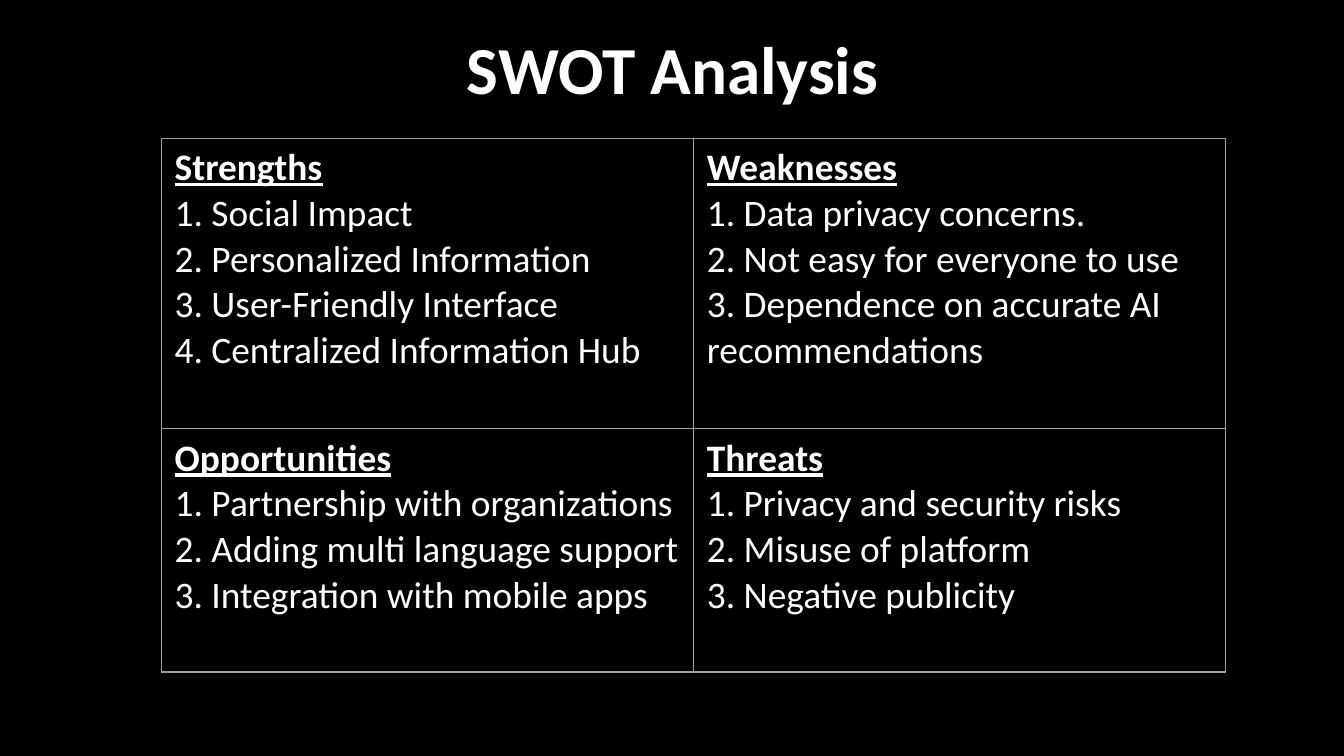
from lxml import etree
from pptx import Presentation
from pptx.dml.color import RGBColor
from pptx.enum.text import MSO_ANCHOR, MSO_AUTO_SIZE, PP_ALIGN
from pptx.oxml.ns import qn
from pptx.util import Inches, Pt

TITLE = "SWOT Analysis"
QUADRANTS = [
    [
        ("Strengths", ["Social Impact", "Personalized Information",
                       "User-Friendly Interface", "Centralized Information Hub"]),
        ("Weaknesses", ["Data privacy concerns.", "Not easy for everyone to use",
                        "Dependence on accurate AI recommendations"]),
    ],
    [
        ("Opportunities", ["Partnership with organizations",
                           "Adding multi language support",
                           "Integration with mobile apps"]),
        ("Threats", ["Privacy and security risks", "Misuse of platform",
                     "Negative publicity"]),
    ],
]

BLACK = RGBColor(0x00, 0x00, 0x00)
WHITE = RGBColor(0xFF, 0xFF, 0xFF)
GRAY = RGBColor(0x9E, 0x9E, 0x9E)
FONT = "Calibri"
CENTER = PP_ALIGN.CENTER
TOP = MSO_ANCHOR.TOP
NO_FIT = MSO_AUTO_SIZE.NONE

SLIDE_WIDTH = Inches(10)
SLIDE_HEIGHT = SLIDE_WIDTH * 9 // 16
COL_WIDTH = 3.96
ROW_HEIGHTS = [2.16, 1.81]


def add_run(p, text, size, bold=False, underline=False):
    r = p.add_run()
    r.text = text
    r.font.name = FONT
    r.font.size = Pt(size)
    r.font.bold = bold
    r.font.underline = underline
    r.font.color.rgb = WHITE


def set_borders(cell):
    tc_pr = cell._tc.get_or_add_tcPr()
    for i, side in enumerate(("a:lnL", "a:lnR", "a:lnT", "a:lnB")):
        ln = etree.Element(qn(side), w=str(Pt(0.75)))
        fill = etree.SubElement(ln, qn("a:solidFill"))
        etree.SubElement(fill, qn("a:srgbClr"), val=str(GRAY))
        tc_pr.insert(i, ln)


def fill_cell(cell, heading, items):
    cell.fill.background()
    set_borders(cell)
    tf = cell.text_frame
    add_run(tf.paragraphs[0], heading, 20, bold=True, underline=True)
    for n, item in enumerate(items, 1):
        add_run(tf.add_paragraph(), f"{n}. {item}", 20)


prs = Presentation()
prs.slide_width, prs.slide_height = SLIDE_WIDTH, SLIDE_HEIGHT
s = prs.slides.add_slide(prs.slide_layouts[5])
s.background.fill.solid()
s.background.fill.fore_color.rgb = BLACK

title = s.shapes.title
title.left, title.top = Inches(0.79), Inches(0.1)
title.width, title.height = Inches(8.43), Inches(0.63)
tf = title.text_frame
tf.margin_left = tf.margin_right = tf.margin_top = tf.margin_bottom = Inches(0.1)
tf.vertical_anchor = TOP
tf.auto_size = NO_FIT
tf.paragraphs[0].alignment = CENTER
add_run(tf.paragraphs[0], TITLE, 36, bold=True)

table = s.shapes.add_table(
    len(QUADRANTS), len(QUADRANTS[0]), Inches(1.2), Inches(1.03),
    Inches(COL_WIDTH * len(QUADRANTS[0])), Inches(sum(ROW_HEIGHTS))).table
table.first_row = False
table.horz_banding = False
for col in table.columns:
    col.width = Inches(COL_WIDTH)
for row, height, quadrants in zip(table.rows, ROW_HEIGHTS, QUADRANTS):
    row.height = Inches(height)
    for cell, (heading, items) in zip(row.cells, quadrants):
        fill_cell(cell, heading, items)

prs.save("out.pptx")
